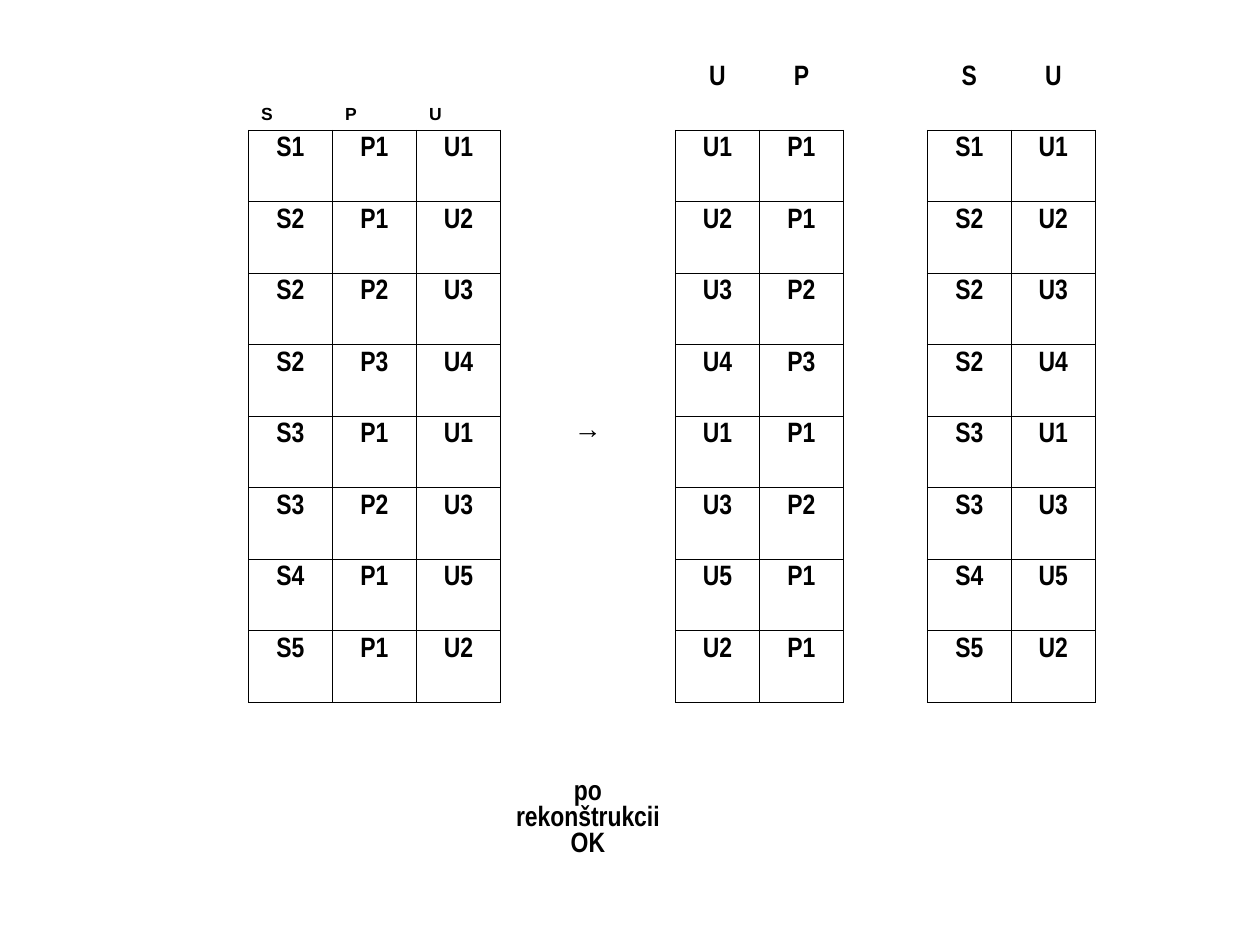
from pptx import Presentation
from pptx.dml.color import RGBColor
from pptx.enum.text import MSO_ANCHOR, PP_ALIGN
from pptx.oxml.ns import qn
from pptx.util import Pt
from lxml.etree import SubElement

BLACK = RGBColor(0x00, 0x00, 0x00)
LINE_WIDTH = Pt(0.45)

# The full relation; the two projections are derived from it
RELATION = [
    ("S1", "P1", "U1"), ("S2", "P1", "U2"), ("S2", "P2", "U3"), ("S2", "P3", "U4"),
    ("S3", "P1", "U1"), ("S3", "P2", "U3"), ("S4", "P1", "U5"), ("S5", "P1", "U2"),
]
ATTRIBUTES = "SPU"
# Table column -> attribute shown in it
COLUMN_ATTRIBUTES = {1: "S", 2: "P", 3: "U", 5: "U", 6: "P", 8: "S", 9: "U"}
SOURCE_COLUMNS = (1, 2, 3)
ARROW_COLUMN, ARROW_ROW = 4, 5
COLUMNS, ROWS = 10, 11


def in_grid(row, col):
    return 1 <= row <= len(RELATION) and col in COLUMN_ATTRIBUTES


def set_border(cell, tag, visible):
    ln = SubElement(cell._tc.get_or_add_tcPr(), qn(f"a:{tag}"))
    if visible:
        ln.set("w", str(int(LINE_WIDTH)))
        fill = SubElement(ln, qn("a:solidFill"))
        SubElement(fill, qn("a:srgbClr")).set("val", str(BLACK))
    else:
        ln.set("w", "0")
        SubElement(ln, qn("a:noFill"))


def style_cell(cell, row, col):
    """Draw an edge wherever the cell or its neighbour belongs to a relation."""
    neighbours = {"lnL": (row, col - 1), "lnR": (row, col + 1),
                  "lnT": (row - 1, col), "lnB": (row + 1, col)}
    for tag, neighbour in neighbours.items():
        set_border(cell, tag, in_grid(row, col) or in_grid(*neighbour))
    cell.fill.background()


def write(cell, text, size=16, font="Arial Narrow", bold=True, align=PP_ALIGN.CENTER):
    p = cell.text_frame.paragraphs[0]
    p.text = text
    p.alignment = align
    p.font.name = font
    p.font.size = Pt(size)
    p.font.bold = bold
    p.font.color.rgb = BLACK


def add_grid(s):
    widths = [48] * COLUMNS
    widths[ARROW_COLUMN] = 100
    heights = [40.86] * (ROWS - 1) + [65]
    frame = s.shapes.add_table(ROWS, COLUMNS, Pt(94), Pt(33.6),
                               Pt(sum(widths)), Pt(sum(heights)))
    table = frame.table
    table.first_row = False
    table.horz_banding = False
    for column, width in zip(table.columns, widths):
        column.width = Pt(width)
    for row, height in zip(table.rows, heights):
        row.height = Pt(height)
    for row in range(ROWS):
        for col in range(COLUMNS):
            style_cell(table.cell(row, col), row, col)
    return table


def fill_relations(table):
    for col, attribute in COLUMN_ATTRIBUTES.items():
        header = table.cell(0, col)
        if col in SOURCE_COLUMNS:
            header.vertical_anchor = MSO_ANCHOR.BOTTOM
            write(header, attribute, 10, "Arial", align=PP_ALIGN.LEFT)
        else:
            write(header, attribute)
        for row, record in enumerate(RELATION, start=1):
            write(table.cell(row, col), record[ATTRIBUTES.index(attribute)])


def main():
    prs = Presentation()
    prs.slide_width, prs.slide_height = Pt(720), Pt(540)
    s = prs.slides.add_slide(prs.slide_layouts[6])

    # Relation on the left, its projections on the right
    table = add_grid(s)
    fill_relations(table)

    # Arrow and conclusion between them
    write(table.cell(ARROW_ROW, ARROW_COLUMN), "→", bold=False)
    write(table.cell(ROWS - 1, ARROW_COLUMN), "po rekonštrukcii OK")

    prs.save("out.pptx")


if __name__ == "__main__":
    main()
